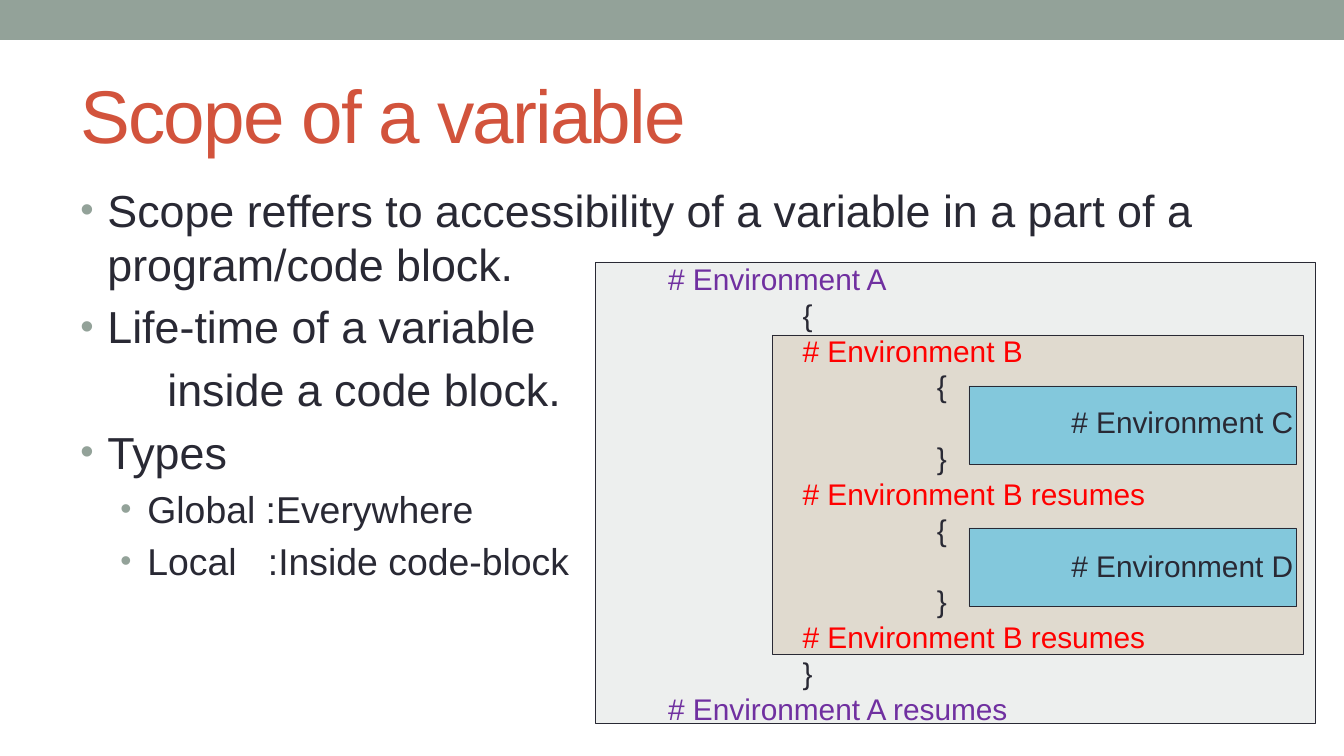
from lxml.etree import SubElement
from pptx import Presentation
from pptx.dml.color import RGBColor
from pptx.enum.shapes import MSO_SHAPE
from pptx.enum.text import MSO_ANCHOR, MSO_AUTO_SIZE, PP_ALIGN
from pptx.oxml.ns import qn
from pptx.util import Emu, Pt

PX = 914400 / 134.4
FONT = "Arial"
COLORS = {"sage": "93A299", "title": "D2533C", "ink": "292934", "outer": "D4DAD6",
          "middle": "CEBCA4", "inner": "00B0F0", "purple": "7030A0", "red": "FF0000"}

TITLE = "Scope of a variable"
# text pieces, level, left margin, bulleted
BULLETS = [
    (["Scope reffers to accessibility of a variable in a part of a program/code block."], 0, 27, True),
    (["Life-time of a variable"], 0, 27, True),
    (["inside a code block."], 0, 87, False),
    (["Types"], 0, 27, True),
    (["Global :Everywhere"], 1, 67, True),
    (["Local", " ", ":Inside code-block"], 1, 67, True),
]
LEVEL_SIZES = [24, 20]
WIDE_SPACE = 1112  # extra width of the gap in "Local :", in 1/100 pt

BOXES = [
    ("outer", 595, 262, 720, 461),
    ("middle", 772, 335, 531, 319),
    ("inner", 969, 386, 327, 78),
    ("inner", 969, 528, 327, 78),
]
# nesting depth, text, colour
CODE = [
    (0, "# Environment A", "purple"),
    (1, "{", "ink"),
    (1, "# Environment B", "red"),
    (2, "{", "ink"),
    (3, "# Environment C", "ink"),
    (2, "}", "ink"),
    (1, "# Environment B resumes", "red"),
    (2, "{", "ink"),
    (3, "# Environment D", "ink"),
    (2, "}", "ink"),
    (1, "# Environment B resumes", "red"),
    (1, "}", "ink"),
    (0, "# Environment A resumes", "purple"),
]
CODE_SIZE, CODE_INDENT = 16, 134.4


def px(n):
    """Turn picture pixels into EMU."""
    return Emu(round(n * PX))


def rgb(name):
    """Look up a named colour."""
    return RGBColor.from_string(COLORS[name])


def place(sp, x, y, w, h):
    """Move and size a shape, in pixels."""
    sp.left, sp.top, sp.width, sp.height = map(px, (x, y, w, h))


def format_runs(p, size, color):
    """Set the font of every run in a paragraph."""
    for r in p.runs:
        r.font.name, r.font.size = FONT, Pt(size)
        r.font.color.rgb = rgb(color)


def set_indent(p, left, first=0):
    """Set the left margin and first-line indent, in pixels."""
    pPr = p._p.get_or_add_pPr()
    pPr.set("marL", str(px(left)))
    pPr.set("indent", str(px(first)))
    return pPr


def set_bullet(pPr, shown):
    """Give a paragraph a sage dot, or no bullet."""
    if not shown:
        SubElement(pPr, qn("a:buNone"))
        return
    clr = SubElement(pPr, qn("a:buClr"))
    SubElement(clr, qn("a:srgbClr"), val=COLORS["sage"])
    SubElement(pPr, qn("a:buSzPct"), val="85000")
    SubElement(pPr, qn("a:buFont"), typeface=FONT)
    SubElement(pPr, qn("a:buChar"), char="•")


def add_box(s, color, x, y, w, h, alpha=None):
    """Add a rectangle; a translucent one gets a thin outline."""
    sp = s.shapes.add_shape(MSO_SHAPE.RECTANGLE, *map(px, (x, y, w, h)))
    sp.shadow.inherit = False
    sp.fill.solid()
    sp.fill.fore_color.rgb = rgb(color)
    if alpha is None:
        sp.line.fill.background()
        return
    sp.line.color.rgb = rgb("ink")
    sp.line.width = Pt(0.25)
    clr = sp._element.spPr.find(qn("a:solidFill")).find(qn("a:srgbClr"))
    SubElement(clr, qn("a:alpha"), val=str(alpha * 1000))


def fill_title(sp):
    """Write the slide title."""
    place(sp, 67, 59, 1210, 109)
    tf = sp.text_frame
    tf.text = TITLE
    tf.vertical_anchor = MSO_ANCHOR.MIDDLE
    p = tf.paragraphs[0]
    p.alignment = PP_ALIGN.LEFT
    format_runs(p, 40, "title")
    p.runs[0].font._element.set("spc", "-100")


def fill_body(sp):
    """Write the bullet list."""
    place(sp, 67, 176, 1210, 538)
    tf = sp.text_frame
    tf.auto_size = MSO_AUTO_SIZE.NONE
    for i, (pieces, level, left, bulleted) in enumerate(BULLETS):
        p = tf.paragraphs[0] if i == 0 else tf.add_paragraph()
        size = LEVEL_SIZES[level]
        p.level = level
        p.line_spacing, p.space_before = Pt(size * 1.2), Pt(size * 0.2)
        set_bullet(set_indent(p, left, -27 if bulleted else 0), bulleted)
        for piece in pieces:
            r = p.add_run()
            r.text = piece
            if piece == " ":
                r.font._element.set("spc", str(WIDE_SPACE))
        format_runs(p, size, "ink")


def add_code(s):
    """Write the nested environments, indented by depth."""
    tf = s.shapes.add_textbox(*map(px, (655, 254, 917, 484))).text_frame
    tf.word_wrap = True
    tf.text = "\n".join(text for _, text, _ in CODE)
    for p, (depth, _, color) in zip(tf.paragraphs, CODE):
        p.line_spacing = Pt(CODE_SIZE * 1.2)
        set_indent(p, depth * CODE_INDENT)
        format_runs(p, CODE_SIZE, color)


prs = Presentation()
prs.slide_width, prs.slide_height = px(1344), px(756)
s = prs.slides.add_slide(prs.slide_layouts[1])
fill_title(s.shapes.title)
fill_body(s.placeholders[1])
add_box(s, "sage", 0, 0, 1344, 40)
for box in BOXES:
    add_box(s, *box, alpha=41)
add_code(s)
prs.save("out.pptx")
